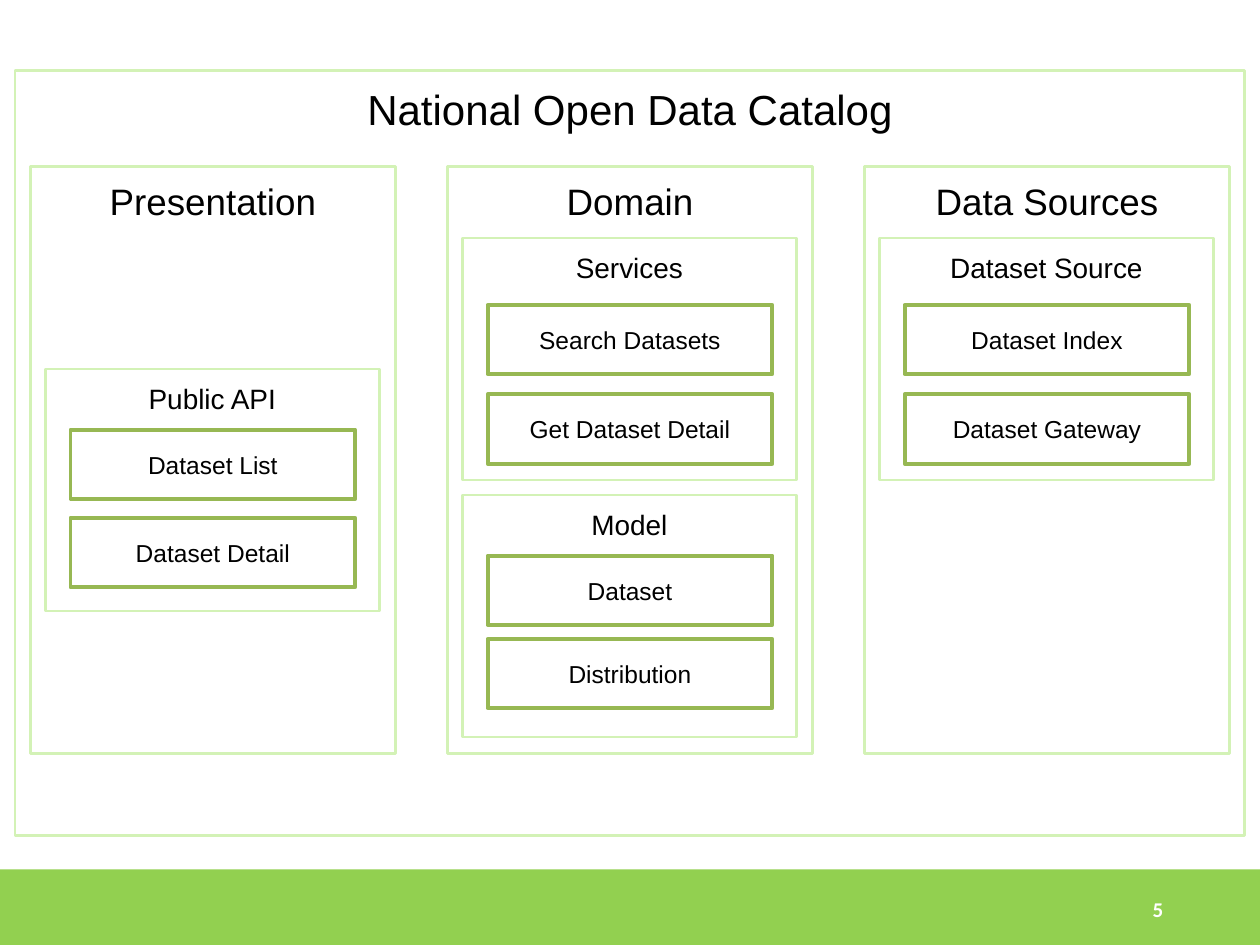
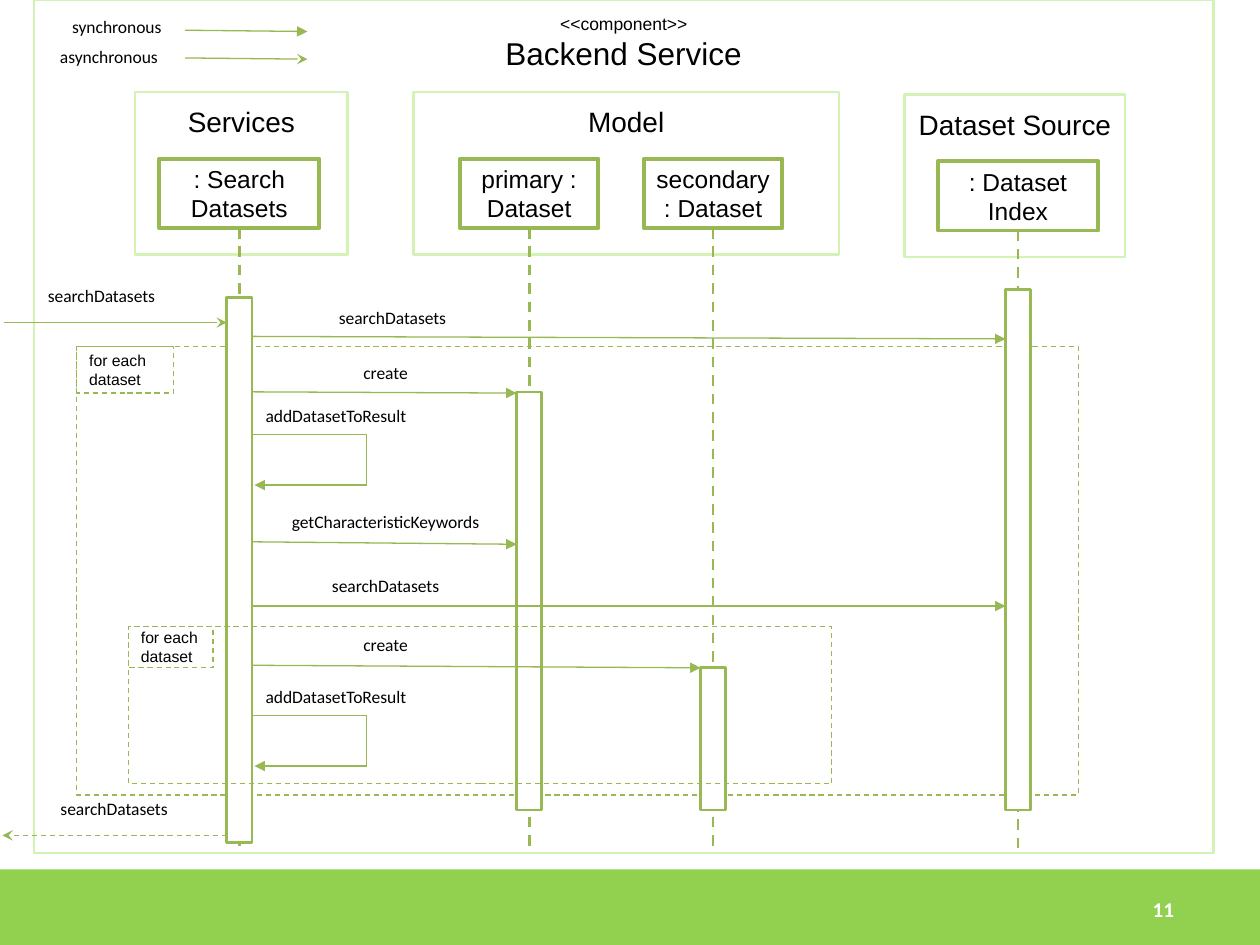
from lxml import etree
from pptx import Presentation
from pptx import util as u
from pptx.dml.color import RGBColor
from pptx.enum import dml, shapes, text
from pptx.oxml import ns

BAND, PALE, GREEN = "92D050", "D3F2B6", "97B853"
BLACK, WHITE = "000000", "FFFFFF"
HEADING, LABEL = "Arial", "Calibri"
LEFT, CENTER, RIGHT = text.PP_ALIGN.LEFT, text.PP_ALIGN.CENTER, text.PP_ALIGN.RIGHT
TOP, MIDDLE = text.MSO_ANCHOR.TOP, text.MSO_ANCHOR.MIDDLE
BAR_WIDTH = 0.2


def rgb(hex_color):
    """Turn a hex string into a colour."""
    return RGBColor.from_string(hex_color)


def inches(*lengths):
    """Convert numbers to lengths in inches."""
    return [u.Inches(length) for length in lengths]


def write(shape, lines, sizes, font=HEADING, color=BLACK, align=CENTER,
          anchor=TOP, bold=False, inset=0.1):
    """Fill a shape with one paragraph per line, each in its own size."""
    frame = shape.text_frame
    frame.word_wrap = True
    frame.vertical_anchor = anchor
    frame.margin_left = frame.margin_right = u.Inches(0.1)
    frame.margin_top = frame.margin_bottom = u.Inches(inset)
    frame.text = "\n".join(lines)
    for paragraph, size in zip(frame.paragraphs, sizes):
        paragraph.alignment = align
        for run in paragraph.runs:
            run.font.name = font
            run.font.size = u.Pt(size)
            run.font.bold = bold
            run.font.color.rgb = rgb(color)


def stroke(line, color, width, dashed=False):
    """Style an outline or a connector line."""
    line.color.rgb = rgb(color)
    line.width = u.Pt(width)
    if dashed:
        line.dash_style = dml.MSO_LINE.DASH


def box(slide, place, color=None, width=1.5, fill=None, dashed=False):
    """Draw a rectangle with an optional outline and fill."""
    rectangle = slide.shapes.add_shape(shapes.MSO_SHAPE.RECTANGLE, *inches(*place))
    rectangle.shadow.inherit = False
    if fill:
        rectangle.fill.solid()
        rectangle.fill.fore_color.rgb = rgb(fill)
    else:
        rectangle.fill.background()
    if color:
        stroke(rectangle.line, color, width, dashed)
    else:
        rectangle.line.fill.background()
    return rectangle


def container(slide, place, title, size):
    """Draw a pale container with its title at the top."""
    write(box(slide, place, PALE), [title], [size])


def component(slide, x, y, name, width=2.26):
    """Draw a named component box."""
    write(box(slide, (x, y, width, 0.55), GREEN, 2.25), [name], [14], anchor=MIDDLE)


def caption(slide, place, words, align=CENTER):
    """Place the small name of a message."""
    write(slide.shapes.add_textbox(*inches(*place)), [words], [10], LABEL, align=align)


def link(slide, start, end, head=None, width=0.75, dashed=False):
    """Draw a straight line, with an arrowhead at its end if one is named."""
    connector = slide.shapes.add_connector(
        shapes.MSO_CONNECTOR.STRAIGHT, *inches(*start, *end))
    stroke(connector.line, GREEN, width, dashed)
    if head:
        etree.SubElement(connector.line._get_or_add_ln(), ns.qn("a:tailEnd"), type=head)
    etree.SubElement(connector._element.spPr, ns.qn("a:effectLst"))


def message(slide, start, end, name, place):
    """Draw a synchronous call with its name."""
    link(slide, start, end, "triangle")
    caption(slide, place, name)


def self_call(slide, y, name):
    """Draw a call that returns to the search service."""
    link(slide, (2.01, y), (2.91, y))
    link(slide, (2.91, y), (2.91, y + 0.4))
    link(slide, (2.91, y + 0.4), (2.02, y + 0.4), "triangle")
    caption(slide, (2.01, y - 0.32, 2.1, 0.3), name, LEFT)


def lifeline(slide, x, top):
    """Draw the dashed lifeline under a participant."""
    link(slide, (x, top), (x, top + 4.94), width=1.5, dashed=True)


def activation(slide, x, top, bottom):
    """Draw an activation bar centred on a lifeline."""
    box(slide, (x - BAR_WIDTH / 2, top, BAR_WIDTH, bottom - top), GREEN, fill=WHITE)


def loop_tag(slide, place):
    """Label the corner of a loop frame."""
    write(box(slide, place, GREEN, 0.75, dashed=True), ["for each dataset"], [9],
          align=LEFT, anchor=MIDDLE)


def new_slide(deck, number):
    """Add a slide with the footer band and its number."""
    slide = deck.slides.add_slide(deck.slide_layouts[6])
    box(slide, (0, 6.9, 10, 0.63), fill=BAND)
    page = slide.shapes.add_textbox(*inches(9.05, 6.9, 0.83, 0.63))
    write(page, [number], [12], LABEL, WHITE, LEFT, MIDDLE, True, 0.05)
    return slide


def architecture(deck):
    """Build the layered view of the catalog."""
    slide = new_slide(deck, "5")
    container(slide, (0.12, 0.56, 9.76, 6.07), "National Open Data Catalog", 24)
    layers = [
        ("Presentation", [
            ("Public API", 2.93, [("Dataset List", 3.41), ("Dataset Detail", 4.11)])]),
        ("Domain", [
            ("Services", 1.89, [("Search Datasets", 2.42), ("Get Dataset Detail", 3.13)]),
            ("Model", 3.93, [("Dataset", 4.41), ("Distribution", 5.07)])]),
        ("Data Sources", [
            ("Dataset Source", 1.89, [("Dataset Index", 2.42), ("Dataset Gateway", 3.13)])]),
    ]
    for column, (layer, packages) in enumerate(layers):
        x = 0.24 + 3.31 * column
        container(slide, (x, 1.32, 2.9, 4.66), layer, 21)
        for package, top, parts in packages:
            container(slide, (x + 0.12, top, 2.65, 1.92), package, 16)
            for part, y in parts:
                component(slide, x + 0.32, y, part)


def search_sequence(deck):
    """Build the sequence of a dataset search."""
    slide = new_slide(deck, "11")
    box(slide, (0.61, 2.75, 7.95, 3.56), GREEN, 0.75, dashed=True)
    backend = box(slide, (0.27, 0, 9.36, 6.77), PALE)
    write(backend, ["<<component>>", "Backend Service"], [10, 18])

    for package, x, y, width in [("Services", 1.07, 0.73, 1.69),
                                 ("Model", 3.28, 0.73, 3.38),
                                 ("Dataset Source", 7.18, 0.75, 1.75)]:
        container(slide, (x, y, width, 1.29), package, 16)

    search, primary, secondary, index = 1.9, 4.2, 5.66, 8.08
    participants = [
        (": Search Datasets", search, 1.26, 1.27, 2.36, 6.69),
        ("primary : Dataset", primary, 1.26, 1.1, 3.11, 6.43),
        ("secondary: Dataset", secondary, 1.26, 1.1, 5.3, 6.43),
        (": Dataset Index", index, 1.28, 1.27, 2.3, 6.43),
    ]
    for name, x, y, width, _, _ in participants:
        component(slide, x - width / 2, y, name, width)
        lifeline(slide, x, y + 0.55)
    for _, x, _, _, begin, end in participants:
        activation(slide, x, begin, end)

    calls = [
        ("searchDatasets", 2.67, 2.69, index, 2.35, 2.21),
        ("create", 3.11, 3.12, primary, 2.79, 2.1),
        ("getCharacteristicKeywords", 4.3, 4.32, primary, 3.97, 2.1),
        ("searchDatasets", 4.81, 4.81, index, 4.48, 2.1),
        ("create", 5.28, 5.3, secondary, 4.95, 2.1),
    ]
    for name, y, end_y, receiver, name_y, name_width in calls:
        message(slide, (2, y), (receiver - BAR_WIDTH / 2, end_y), name,
                (2.01, name_y, name_width, 0.33))
    for y in (3.45, 5.68):
        self_call(slide, y, "addDatasetToResult")

    link(slide, (0.03, 2.56), (1.8, 2.56), "stealth")
    caption(slide, (0, 2.18, 1.61, 0.37), "searchDatasets")
    link(slide, (1.8, 6.63), (0.02, 6.63), "stealth", dashed=True)
    caption(slide, (0.1, 6.25, 1.61, 0.37), "searchDatasets")

    for kind, head, y, name_y, name_right in [
            ("synchronous", "triangle", 0.24, 0.04, 1.38),
            ("asynchronous", "stealth", 0.46, 0.28, 1.35)]:
        link(slide, (1.47, y), (2.44, y + 0.01), head)
        caption(slide, (name_right - 1.1, name_y, 1.1, 0.37), kind, RIGHT)

    loop_tag(slide, (0.61, 2.75, 0.77, 0.37))
    box(slide, (1.02, 4.97, 5.58, 1.25), GREEN, 0.75, dashed=True)
    loop_tag(slide, (1.02, 4.97, 0.67, 0.33))


def main():
    """Build and save the deck."""
    deck = Presentation()
    deck.slide_width, deck.slide_height = inches(10, 7.5)
    architecture(deck)
    search_sequence(deck)
    deck.save("out.pptx")


if __name__ == "__main__":
    main()
